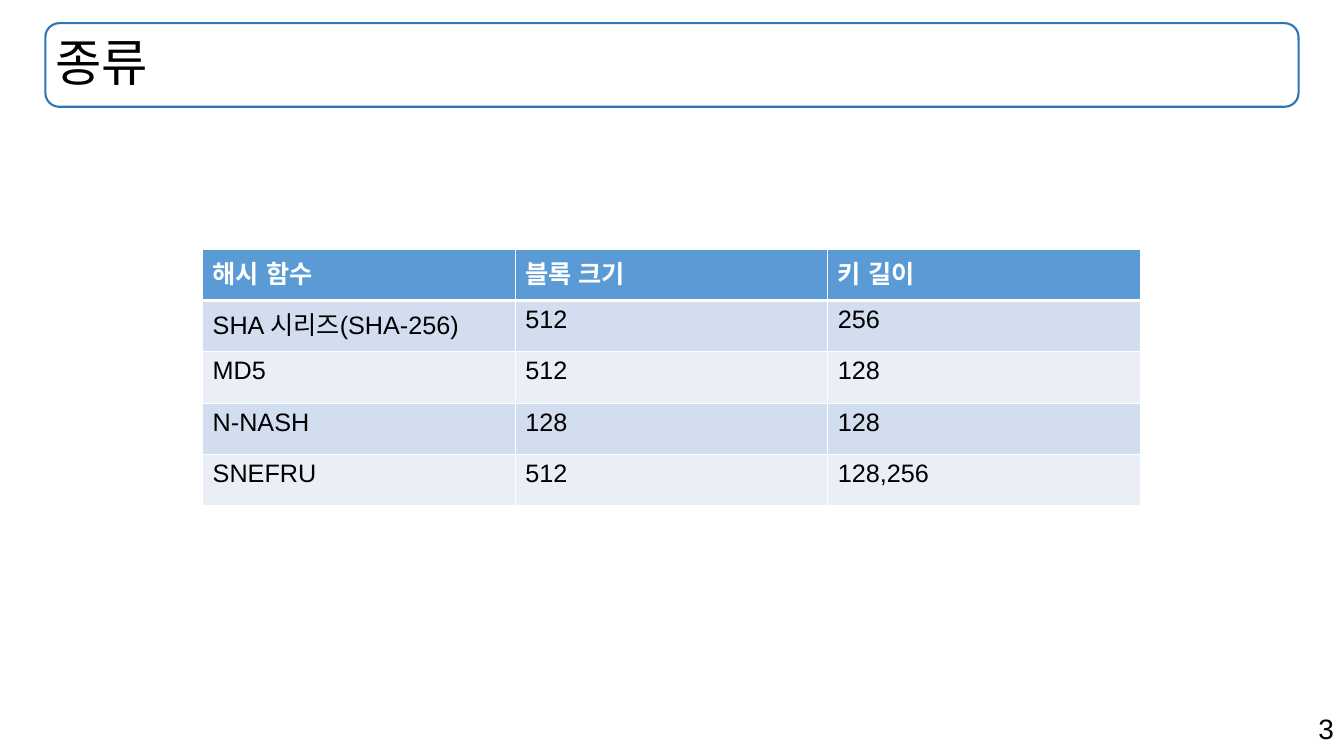
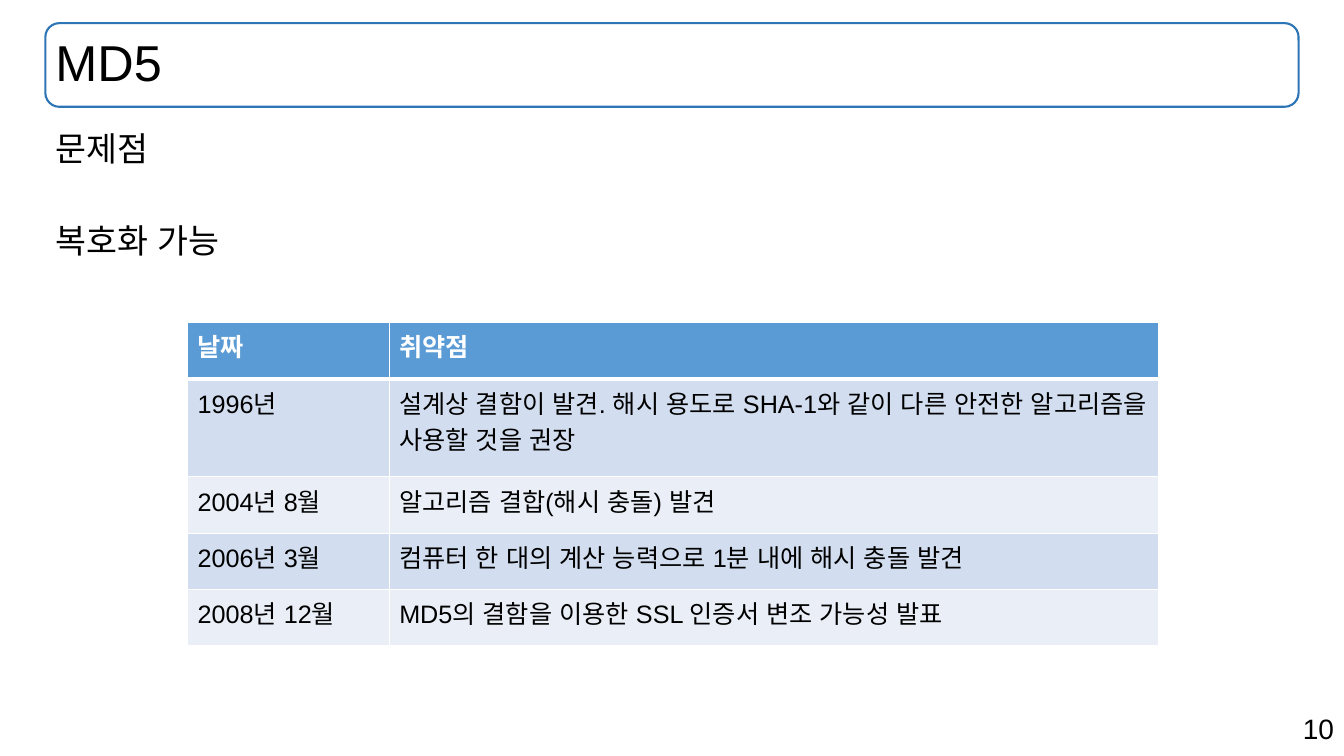
from lxml import etree
from pptx import Presentation
from pptx.dml.color import RGBColor
from pptx.enum.lang import MSO_LANGUAGE_ID as Language
from pptx.enum.shapes import MSO_SHAPE as Preset
from pptx.enum.text import MSO_ANCHOR as Anchor, MSO_AUTO_SIZE as AutoSize, PP_ALIGN as Align
from pptx.oxml.ns import qn
from pptx.util import Inches, Pt

BLACK = RGBColor(0x00, 0x00, 0x00)
WHITE = RGBColor(0xFF, 0xFF, 0xFF)
FRAME_BLUE = RGBColor(0x2E, 0x75, 0xB6)
HEADER_BLUE = RGBColor(0x5B, 0x9B, 0xD5)
BAND_COLORS = (RGBColor(0xD2, 0xDE, 0xEF), RGBColor(0xEA, 0xEF, 0xF7))

FONT = "Arial"
TITLE_ONLY = 5
TITLE_BOX = [Inches(value) for value in (0.45, 0.23, 12.43, 0.83)]
BODY_BOX = [Inches(value) for value in (0.45, 1.26, 12.43, 1.75)]
NUMBER_BOX = [Inches(value) for value in (9.43, 7.01, 3.9, 0.44)]


class Deck:
    """Holds the shared style and the slide being built."""

    def __init__(self):
        self.presentation = Presentation()
        self.presentation.slide_width = Inches(13.33)
        self.presentation.slide_height = Inches(7.5)
        self.slide = None

    def add_slide(self, title, number):
        layout = self.presentation.slide_layouts[TITLE_ONLY]
        self.slide = self.presentation.slides.add_slide(layout)
        self.add_title(title)
        self.add_number(number)

    def add_title(self, text):
        frame_shape = self.slide.shapes.add_shape(Preset.ROUNDED_RECTANGLE, *TITLE_BOX)
        frame_shape.shadow.inherit = False
        frame_shape.fill.background()
        frame_shape.line.color.rgb = FRAME_BLUE
        frame_shape.line.width = Pt(1.5)

        title = self.slide.shapes.title
        title.left, title.top, title.width, title.height = TITLE_BOX
        text_frame = title.text_frame
        text_frame.auto_size = AutoSize.NONE
        text_frame.vertical_anchor = Anchor.MIDDLE
        paragraph = text_frame.paragraphs[0]
        paragraph.alignment = Align.LEFT
        paragraph.line_spacing = 0.9
        self.add_run(paragraph, text, 36)

    def add_number(self, number):
        paragraph = self.add_text_frame(NUMBER_BOX).paragraphs[0]
        paragraph.alignment = Align.RIGHT
        self.add_run(paragraph, str(number), 20)

    def add_body(self, lines, gap):
        text_frame = self.add_text_frame(BODY_BOX)
        for index, line in enumerate(lines):
            paragraph = text_frame.add_paragraph() if index else text_frame.paragraphs[0]
            paragraph.line_spacing = 0.9
            if index:
                paragraph.space_before = Pt(gap)
            self.add_run(paragraph, line, 24)

    def add_table(self, left, top, column_widths, row_heights, rows):
        shape = self.slide.shapes.add_table(
            len(rows), len(column_widths), Inches(left), Inches(top),
            Inches(sum(column_widths)), Inches(sum(row_heights)))
        table = shape.table
        for column, width in zip(table.columns, column_widths):
            column.width = Inches(width)
        for row, height in zip(table.rows, row_heights):
            row.height = Inches(height)
        for row_index, texts in enumerate(rows):
            is_header = row_index == 0
            fill_color = HEADER_BLUE if is_header else BAND_COLORS[(row_index - 1) % 2]
            for column_index, text in enumerate(texts):
                cell = table.cell(row_index, column_index)
                self.set_borders(cell, top=3 if row_index == 1 else 1,
                                 bottom=3 if is_header else 1)
                cell.fill.solid()
                cell.fill.fore_color.rgb = fill_color
                self.add_run(cell.text_frame.paragraphs[0], text, 18,
                             WHITE if is_header else BLACK, is_header)

    def add_text_frame(self, box):
        text_frame = self.slide.shapes.add_textbox(*box).text_frame
        text_frame.word_wrap = True
        return text_frame

    @staticmethod
    def add_run(paragraph, text, size, color=BLACK, bold=False):
        run = paragraph.add_run()
        run.text = text
        font = run.font
        font.name = FONT
        font.size = Pt(size)
        font.bold = bold
        font.color.rgb = color
        font.language_id = Language.KOREAN

    @staticmethod
    def set_borders(cell, top, bottom):
        """Draw white cell borders; top and bottom are widths in points."""
        properties = cell._tc.get_or_add_tcPr()
        for tag, width in (("a:lnL", 1), ("a:lnR", 1), ("a:lnT", top), ("a:lnB", bottom)):
            line = etree.SubElement(properties, qn(tag), w=str(Pt(width)))
            fill = etree.SubElement(line, qn("a:solidFill"))
            etree.SubElement(fill, qn("a:srgbClr"), val=str(WHITE))


def main():
    deck = Deck()

    deck.add_slide("종류", 3)
    deck.add_table(2.01, 2.47, [3.1] * 3, [0.51] * 5, [
        ("해시 함수", "블록 크기", "키 길이"),
        ("SHA 시리즈(SHA-256)", "512", "256"),
        ("MD5", "512", "128"),
        ("N-NASH", "128", "128"),
        ("SNEFRU", "512", "128,256"),
    ])

    deck.add_slide("MD5", 10)
    deck.add_body(["문제점", "복호화 가능"], gap=40)
    deck.add_table(1.86, 3.2, [2, 7.63], [0.56, 0.97, 0.56, 0.56, 0.56], [
        ("날짜", "취약점"),
        ("1996년", "설계상 결함이 발견. 해시 용도로 SHA-1와 같이 다른 안전한 "
                  "알고리즘을 사용할 것을 권장"),
        ("2004년 8월", "알고리즘 결합(해시 충돌) 발견"),
        ("2006년 3월", "컴퓨터 한 대의 계산 능력으로 1분 내에 해시 충돌 발견"),
        ("2008년 12월", "MD5의 결함을 이용한 SSL 인증서 변조 가능성 발표"),
    ])

    deck.presentation.save("out.pptx")


if __name__ == "__main__":
    main()
